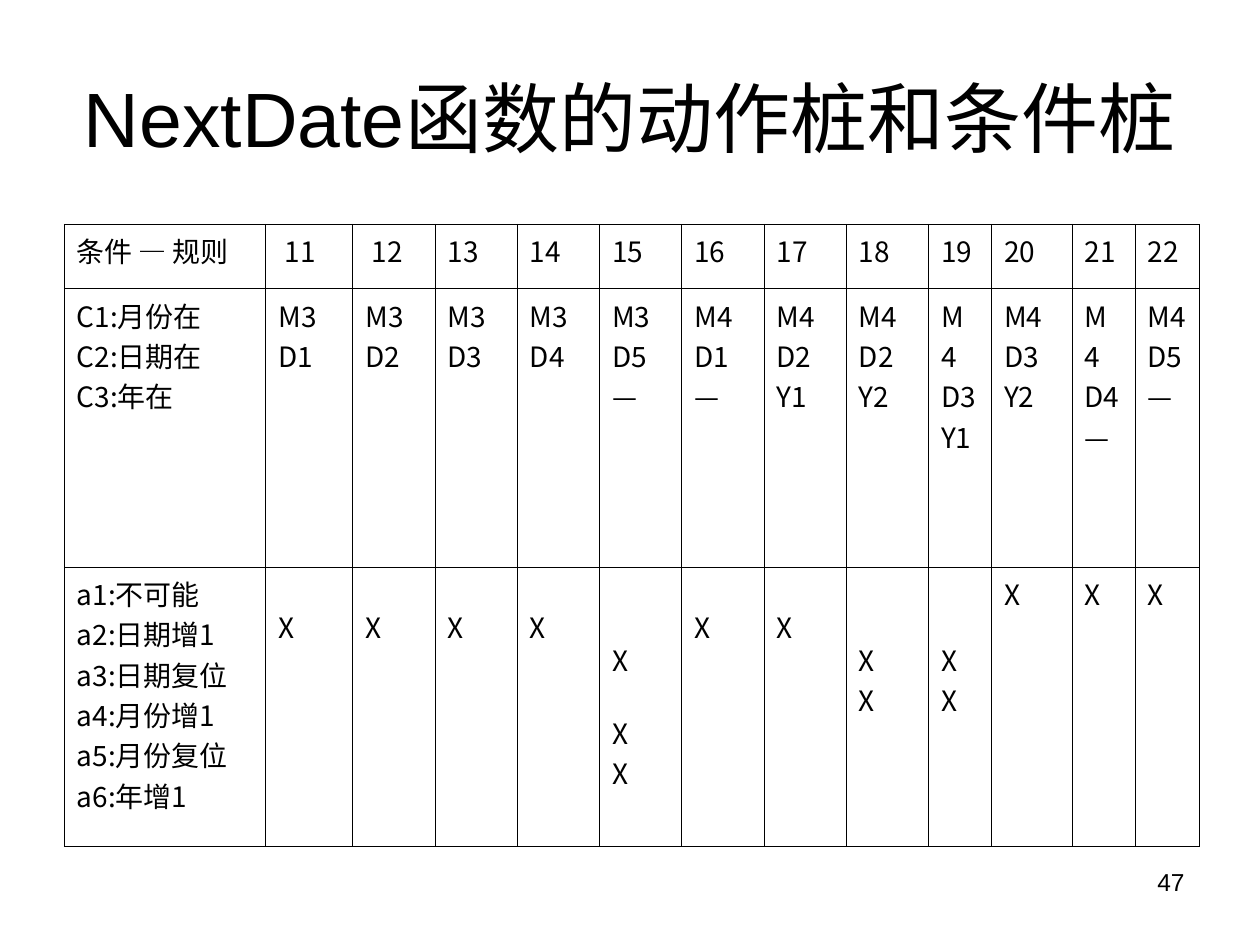
"""Build the NextDate decision table slide, rules 11 to 22."""
from lxml import etree
from pptx import Presentation, util as u
from pptx.dml.color import RGBColor
from pptx.enum import text as t
from pptx.oxml import ns

BLACK = RGBColor(0, 0, 0)
CJK = "Noto Sans CJK SC"
SKIP = 0.26


def style(para, face, size):
    for run in para.runs:
        for key, val in {"name": face, "size": u.Pt(size)}.items():
            setattr(run.font, key, val)
        run.font.color.rgb = BLACK
        east = etree.SubElement(run.font._element, ns.qn("a:ea"))
        east.set("typeface", CJK)


def edge(cell):
    props = cell._tc.get_or_add_tcPr()
    for i, side in enumerate(("lnL", "lnR", "lnT", "lnB")):
        line = etree.Element(ns.qn("a:" + side), w=str(u.Pt(0.45)))
        fill = etree.SubElement(line, ns.qn("a:solidFill"))
        etree.SubElement(fill, ns.qn("a:srgbClr"), val=str(BLACK))
        props.insert(i, line)


deck = Presentation()
deck.slide_width, deck.slide_height = u.Inches(10), u.Inches(7.5)
slide = deck.slides.add_slide(deck.slide_layouts[6])

labels = [
    ("47", (7.17, 6.83, 2.33, 0.52), 14, t.PP_ALIGN.RIGHT, t.MSO_ANCHOR.TOP),
    ("NextDate函数的动作桩和条件桩", (0.5, 0.3, 9, 1.25), 44,
     t.PP_ALIGN.CENTER, t.MSO_ANCHOR.MIDDLE),
]
for words, spot, size, align, anchor in labels:
    frame = slide.shapes.add_textbox(*map(u.Inches, spot)).text_frame
    for key, val in {"word_wrap": True, "vertical_anchor": anchor,
                     "text": words}.items():
        setattr(frame, key, val)
    para = frame.paragraphs[0]
    para.alignment = align
    style(para, "Arial", size)

heads = ["条件 — 规则", " 11", " 12"] + [str(n) for n in range(13, 23)]
conds = [
    "C1:月份在 C2:日期在 C3:年在", "M3 D1", "M3 D2", "M3 D3", "M3 D4",
    "M3 D5 —", "M4 D1 —", "M4 D2 Y1", "M4 D2 Y2", "M4 D3 Y1", "M4 D3 Y2",
    "M4 D4 —", "M4 D5 —",
]
acts = "a1:不可能 a2:日期增1 a3:日期复位 a4:月份增1 a5:月份复位 a6:年增1"
marks = [[2], [2], [2], [2], [3, 5, 6], [2], [2], [3, 4], [3, 4],
         [1], [1], [1]]
rows = [
    [[head] for head in heads],
    [cond.split() for cond in conds],
    [acts.split()] + [["X"] * len(mark) for mark in marks],
]
wide = [1.6, 0.69] + [4.57 / 7] * 7 + [0.5, 0.64, 0.5, 0.51]
high = [0.51, 2.21, 2.22]

grid = slide.shapes.add_table(
    len(high), len(wide), u.Inches(0.51), u.Inches(1.78),
    u.Inches(sum(wide)), u.Inches(sum(high))).table
for key in ("first_row", "horz_banding"):
    setattr(grid, key, False)
for col, width in zip(grid.columns, wide):
    col.width = u.Inches(width)
for row, height in zip(grid.rows, high):
    row.height = u.Inches(height)

for r, row in enumerate(rows):
    for c, lines in enumerate(row):
        cell = grid.cell(r, c)
        cell.fill.background()
        edge(cell)
        cell.text = "\n".join(lines)
        paras = cell.text_frame.paragraphs
        for para in paras:
            style(para, CJK, 16)
        if r == 2 and c:
            mark = marks[c - 1]
            cell.margin_top = u.Inches(0.05 + SKIP * (mark[0] - 1))
            for para, last, step in zip(paras[1:], mark, mark[1:]):
                para.space_before = u.Inches(SKIP * (step - last - 1))

deck.save("out.pptx")
